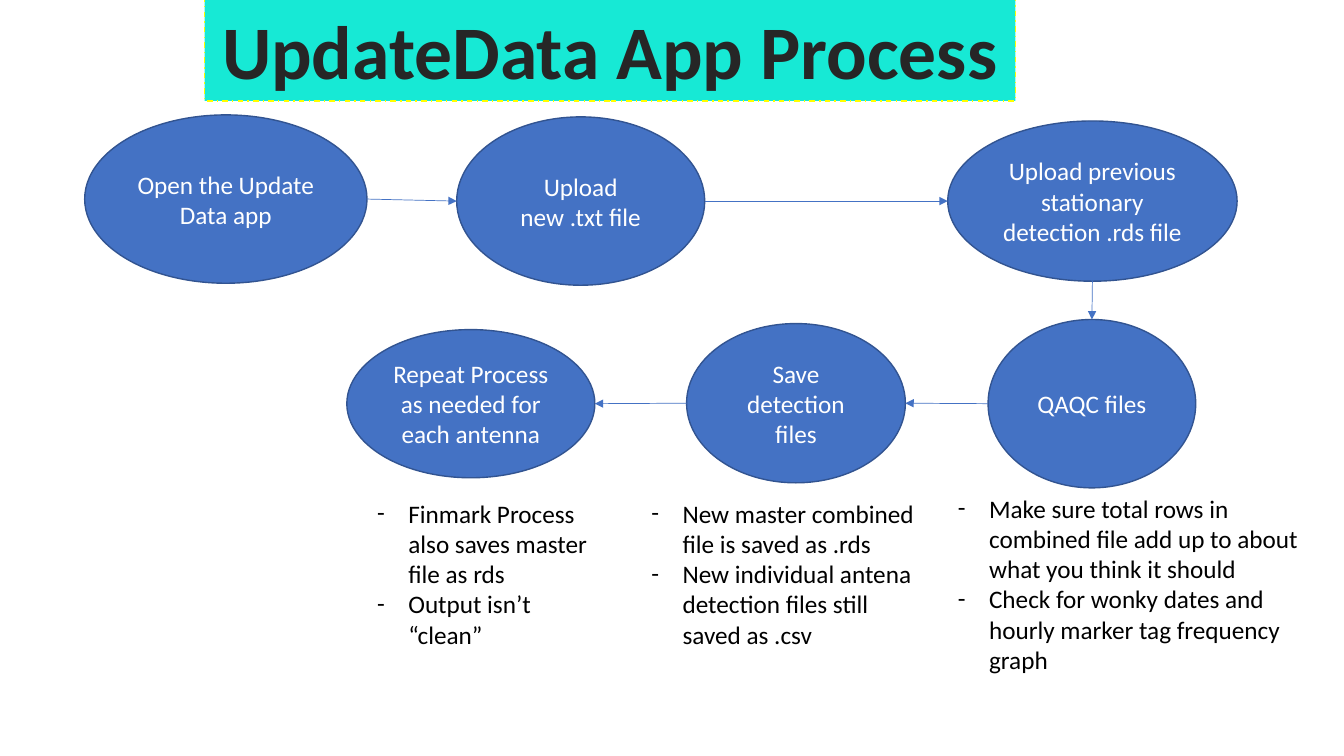
from lxml import etree
from pptx import Presentation
from pptx.dml.color import RGBColor
from pptx.enum import dml, shapes, text
from pptx.oxml.ns import qn
from pptx.util import Inches, Pt

# Content
TITLE = "UpdateData App Process"
TITLE_BOX = (2.03, -0.01, 8.04, 1.01)

# Steps in process order: wording, box (left, top, width, height)
STEPS = [
    ("Open the Update Data app", (0.84, 1.14, 2.8, 1.67)),
    ("Upload\vnew .txt file", (4.53, 1.16, 2.46, 1.67)),
    ("Upload previous stationary detection .rds file", (9.4, 1.2, 2.87, 1.59)),
    ("QAQC files", (9.8, 3.17, 2.06, 1.67)),
    ("Save detection files", (6.81, 3.21, 2.17, 1.58)),
    ("Repeat Process as needed for each antenna", (3.44, 3.27, 2.46, 1.47)),
]
# Sides where each arrow leaves one step and enters the next
ARROWS = [("right", "left"), ("right", "left"), ("bottom", "top"),
          ("left", "right"), ("left", "right")]

NOTES = [
    ((9.4, 4.84, 3.93, 2.22), [
        "Make sure total rows in combined file add up to about what you think it should",
        "Check for wonky dates and hourly marker tag frequency graph"]),
    ((6.36, 4.89, 2.86, 1.92), [
        "New master combined file is saved as .rds",
        "New individual antena detection files still saved as .csv"]),
    ((3.64, 4.89, 2.33, 1.62), [
        "Finmark Process also saves master file as rds",
        "Output isn’t “clean”"]),
]

FONT = "Calibri"
COLORS = {"step": "4472C4", "step_edge": "325491", "step_text": "FFFFFF",
          "banner": "17E9D5", "banner_edge": "FFFF00", "title": "262626",
          "note": "000000"}
# Side: fraction across, fraction down, connection site on an ellipse
SIDES = {"top": (0.5, 0, 0), "left": (0, 0.5, 2),
         "bottom": (0.5, 1, 4), "right": (1, 0.5, 6)}


def color(name):
    return RGBColor.from_string(COLORS[name])


def place(shape, box):
    shape.left, shape.top, shape.width, shape.height = map(Inches, box)


def paint(shape, fill, edge):
    shape.fill.solid()
    shape.fill.fore_color.rgb = color(fill)
    shape.line.color.rgb = color(edge)
    shape.line.width = Pt(1)


def style(paragraph, size, ink, bold=False):
    paragraph.line_spacing = 1.0
    paragraph.space_before = Pt(0)
    for run in paragraph.runs:
        run.font.name = FONT
        run.font.size = Pt(size)
        run.font.bold = bold
        run.font.color.rgb = color(ink)


def side_point(shape, side):
    across, down, _ = SIDES[side]
    return (int(shape.left + across * shape.width),
            int(shape.top + down * shape.height))


def add_dash(paragraph):
    props = paragraph._p.get_or_add_pPr()
    props.set("marL", str(Inches(0.31)))
    props.set("indent", str(Inches(-0.31)))
    etree.SubElement(props, qn("a:buFont"), typeface=FONT)
    etree.SubElement(props, qn("a:buChar"), char="-")


deck = Presentation()
deck.slide_width, deck.slide_height = Inches(13.33), Inches(7.5)
slide = deck.slides.add_slide(deck.slide_layouts.get_by_name("Comparison"))

# Title banner
banner = slide.shapes.title
place(banner, TITLE_BOX)
paint(banner, "banner", "banner_edge")
banner.line.dash_style = dml.MSO_LINE.DASH_DOT
banner.text_frame.text = TITLE
banner.text_frame.auto_size = text.MSO_AUTO_SIZE.SHAPE_TO_FIT_TEXT
banner.text_frame.vertical_anchor = text.MSO_ANCHOR.TOP
banner.text_frame.word_wrap = False
heading = banner.text_frame.paragraphs[0]
heading.alignment = text.PP_ALIGN.CENTER
style(heading, 54, "title", bold=True)

# Process steps
steps = []
for wording, box in STEPS:
    step = slide.shapes.add_shape(shapes.MSO_SHAPE.OVAL, *map(Inches, box))
    step.shadow.inherit = False
    paint(step, "step", "step_edge")
    step.text_frame.text = wording
    step.text_frame.word_wrap = True
    step.text_frame.vertical_anchor = text.MSO_ANCHOR.MIDDLE
    label = step.text_frame.paragraphs[0]
    label.alignment = text.PP_ALIGN.CENTER
    style(label, 18, "step_text")
    steps.append(step)

# Arrows from each step to the next
for source, target, (leave, enter) in zip(steps, steps[1:], ARROWS):
    arrow = slide.shapes.add_connector(
        shapes.MSO_CONNECTOR.STRAIGHT,
        *side_point(source, leave), *side_point(target, enter))
    arrow.line.color.rgb = color("step")
    arrow.line.width = Pt(0.5)
    etree.SubElement(arrow.line._get_or_add_ln(), qn("a:tailEnd"), type="triangle")
    etree.SubElement(arrow._element.spPr, qn("a:effectLst"))
    joints = arrow._element.nvCxnSpPr.cNvCxnSpPr
    for tag, step, side in (("a:stCxn", source, leave), ("a:endCxn", target, enter)):
        etree.SubElement(joints, qn(tag), id=str(step.shape_id),
                         idx=str(SIDES[side][2]))

# Notes under the last three steps
bodies = [p for p in slide.placeholders if p.placeholder_format.idx in (1, 2, 3, 4)]
for body, (box, items) in zip(bodies, NOTES):
    place(body, box)
    frame = body.text_frame
    frame.text = "\n".join(items)
    frame.word_wrap = True
    frame.auto_size = text.MSO_AUTO_SIZE.SHAPE_TO_FIT_TEXT
    frame.vertical_anchor = text.MSO_ANCHOR.TOP
    for item in frame.paragraphs:
        add_dash(item)
        style(item, 18, "note")

# Unused placeholders
for spare in bodies[len(NOTES):]:
    spare._element.getparent().remove(spare._element)

deck.save("out.pptx")
